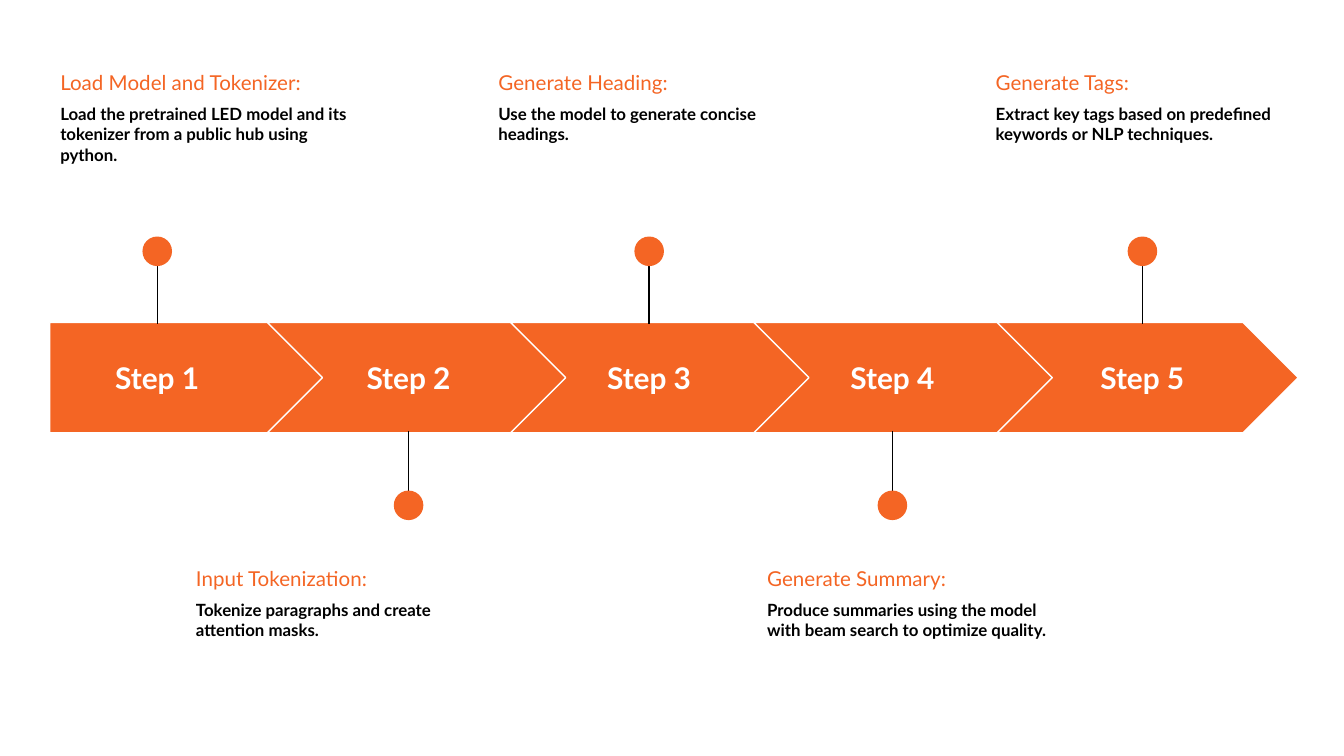
from lxml import etree
from pptx import Presentation
from pptx.dml.color import RGBColor
from pptx.enum.shapes import MSO_CONNECTOR, MSO_SHAPE
from pptx.enum.text import MSO_ANCHOR, PP_ALIGN
from pptx.oxml.ns import qn
from pptx.util import Inches, Pt

ORANGE = RGBColor(0xF4, 0x65, 0x24)
WHITE = RGBColor(0xFF, 0xFF, 0xFF)
BLACK = RGBColor(0, 0, 0)
FONT = "Lato"

# heading, description, centre of the pin and step label, left of the note
STEPS = [
    ("Load Model and Tokenizer:",
     "Load the pretrained LED model and its tokenizer from a public hub using python.",
     1.17, 0.35),
    ("Input Tokenization:",
     "Tokenize paragraphs and create attention masks.",
     3.04, 1.36),
    ("Generate Heading:",
     "Use the model to generate concise headings.",
     4.83, 3.61),
    ("Generate Summary:",
     "Produce summaries using the model with beam search to optimize quality.",
     6.64, 5.61),
    ("Generate Tags:",
     "Extract key tags based on predefined keywords or NLP techniques.",
     8.5, 7.31),
]

BAND_TOP, BAND_H = 2.4, 0.82
CHEVRON_X, CHEVRON_W, PITCH = 0.18, 2.24, 1.81
FIRST_X, FIRST_W = 0.37, 2.05
LABEL_W, LABEL_H = 1.44, 0.51
NOTE_W, NOTE_H = 2.45, 0.99
NOTE_ABOVE, NOTE_BELOW = 0.42, 4.11
DOT, DOT_ABOVE, DOT_BELOW = 0.22, 1.76, 3.65
OVERLAP = 0.01  # how far a pin's line runs into the band


def add_text(slide, x, y, w, h, lines, anchor=MSO_ANCHOR.TOP, align=PP_ALIGN.LEFT):
    """Add a text box; each line is (text, size, colour, bold, space around)."""
    tf = slide.shapes.add_textbox(Inches(x), Inches(y), Inches(w), Inches(h)).text_frame
    tf.word_wrap = True
    tf.vertical_anchor = anchor
    tf.margin_left = tf.margin_right = tf.margin_top = tf.margin_bottom = Inches(0.1)
    for i, (text, size, color, bold, space) in enumerate(lines):
        p = tf.add_paragraph() if i else tf.paragraphs[0]
        p.text = text
        p.alignment = align
        p.space_before = p.space_after = Pt(space)
        font = p.runs[0].font
        font.name, font.size, font.bold = FONT, Pt(size), bold
        font.color.rgb = color


def add_arrow(slide, i):
    kind, x, w = ((MSO_SHAPE.CHEVRON, CHEVRON_X + i * PITCH, CHEVRON_W) if i
                  else (MSO_SHAPE.PENTAGON, FIRST_X, FIRST_W))
    s = slide.shapes.add_shape(kind, Inches(x), Inches(BAND_TOP), Inches(w), Inches(BAND_H))
    s.adjustments[0] = 0.5
    s.shadow.inherit = False
    s.fill.solid()
    s.fill.fore_color.rgb = ORANGE
    s.line.color.rgb = WHITE
    s.line.width = Pt(0.75)


def add_pin(slide, center, above):
    dot_top = DOT_ABOVE if above else DOT_BELOW
    end = BAND_TOP + OVERLAP if above else BAND_TOP + BAND_H - OVERLAP
    group = slide.shapes.add_group_shape()
    line = group.shapes.add_connector(MSO_CONNECTOR.STRAIGHT, Inches(center),
                                      Inches(dot_top + DOT / 2), Inches(center), Inches(end))
    line.line.color.rgb = BLACK
    line.line.width = Pt(0.75)
    etree.SubElement(line._element.spPr, qn("a:effectLst"))
    dot = group.shapes.add_shape(MSO_SHAPE.OVAL, Inches(center - DOT / 2), Inches(dot_top),
                                 Inches(DOT), Inches(DOT))
    dot.shadow.inherit = False
    dot.fill.solid()
    dot.fill.fore_color.rgb = ORANGE
    dot.line.fill.background()


def main():
    prs = Presentation()
    prs.slide_width = Inches(10)
    prs.slide_height = prs.slide_width * 9 // 16
    slide = prs.slides.add_slide(prs.slide_layouts[6])
    for i, (heading, description, center, note_x) in enumerate(STEPS):
        above = i % 2 == 0
        add_arrow(slide, i)
        add_text(slide, center - LABEL_W / 2, BAND_TOP + (BAND_H - LABEL_H) / 2,
                 LABEL_W, LABEL_H, [(f"Step {i + 1}", 16, WHITE, True, 0)],
                 MSO_ANCHOR.MIDDLE, PP_ALIGN.CENTER)
        add_pin(slide, center, above)
        add_text(slide, note_x, NOTE_ABOVE if above else NOTE_BELOW, NOTE_W, NOTE_H,
                 [(heading, 11, ORANGE, False, 0), (description, 9, BLACK, True, 5)])
    prs.save("out.pptx")


if __name__ == "__main__":
    main()
